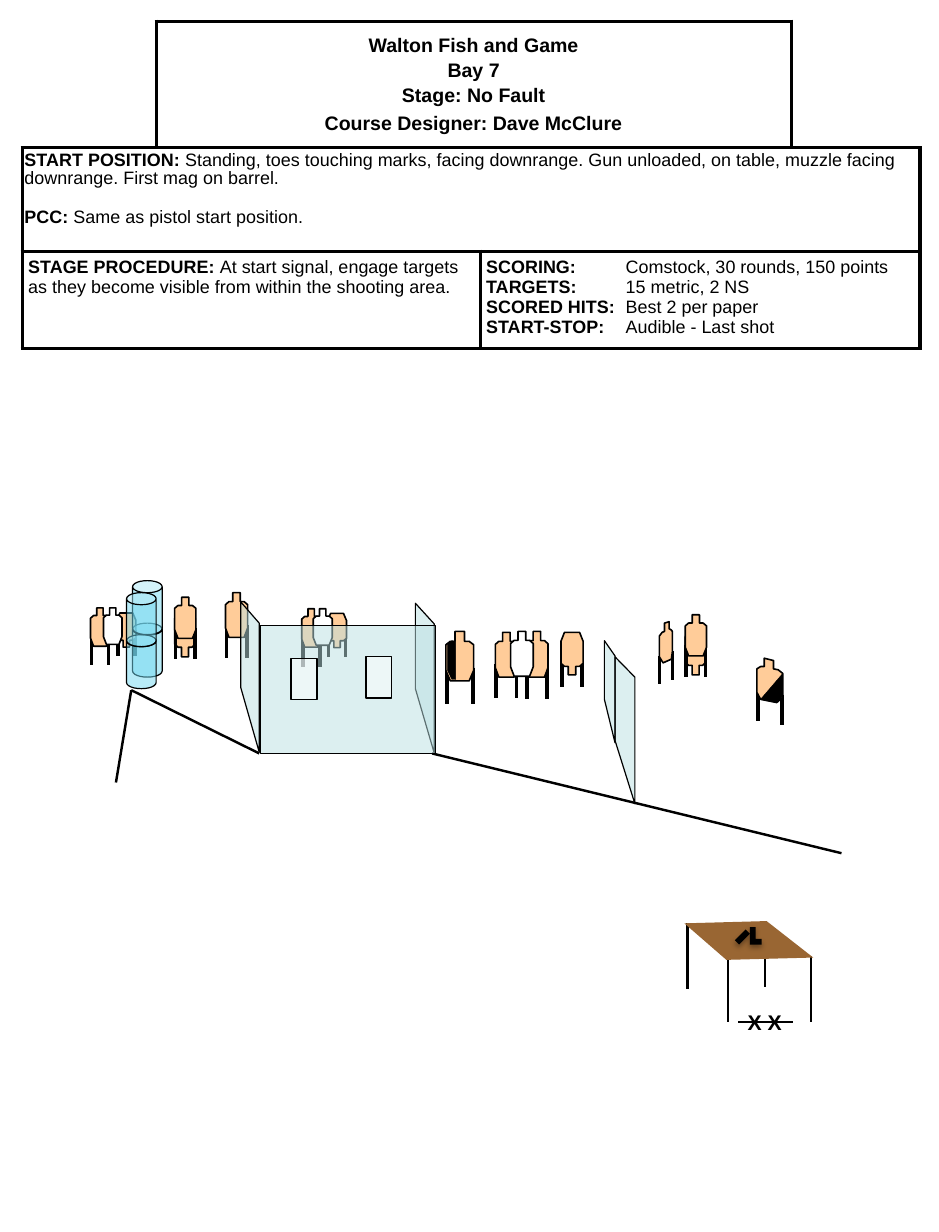
"""Build a one-page shooting stage briefing with a sketch of the bay."""
from lxml import etree
from pptx import Presentation
from pptx.dml.color import RGBColor
from pptx.enum.shapes import MSO_CONNECTOR, MSO_SHAPE
from pptx.enum.text import MSO_ANCHOR, PP_ALIGN
from pptx.oxml.ns import qn
from pptx.util import Cm, Pt

STRAIGHT = MSO_CONNECTOR.STRAIGHT
CAN, CORNER, RECTANGLE = MSO_SHAPE.CAN, MSO_SHAPE.CORNER, MSO_SHAPE.RECTANGLE
CENTER, LEFT = PP_ALIGN.CENTER, PP_ALIGN.LEFT
MIDDLE, TOP = MSO_ANCHOR.MIDDLE, MSO_ANCHOR.TOP
BLACK, WHITE, TAN, BROWN = "000000", "FFFFFF", "FFCC99", "996633"
WALL, BARREL = "BBE0E3", "73D9F1"


def paint(fill, color, opacity=100):
    fill.solid()
    fill.fore_color.rgb = RGBColor.from_string(color)
    if opacity < 100:
        color_element = fill._xPr.find(".//" + qn("a:srgbClr"))
        etree.SubElement(color_element, qn("a:alpha"), val=str(opacity * 1000))


def add_text(paragraph, text, size=11, bold=False, color=BLACK):
    run = paragraph.add_run()
    run.text = text
    run.font.name = "Arial"
    run.font.size = Pt(size)
    run.font.bold = bold
    paint(run.font.fill, color)


presentation = Presentation()
presentation.slide_width = Cm(20.32)
presentation.slide_height = Cm(26.67)
slide = presentation.slides.add_slide(presentation.slide_layouts[6])
shapes = slide.shapes

column_widths = [2.9, 7.01, 6.73, 2.79]
row_heights = [2.74, 2.24, 2.11]
table = shapes.add_table(3, 4, Cm(0.48), Cm(0.46), Cm(sum(column_widths)),
                         Cm(sum(row_heights))).table
table.first_row = table.horz_banding = False
for column, width in zip(table.columns, column_widths):
    column.width = Cm(width)
for row, height in zip(table.rows, row_heights):
    row.height = Cm(height)
for first, last in [((0, 1), (0, 2)), ((1, 0), (1, 3)), ((2, 0), (2, 1)), ((2, 2), (2, 3))]:
    table.cell(*first).merge(table.cell(*last))

corner_sides = {(0, 0): "RB", (0, 3): "LB"}
for row in range(3):
    for column in range(4):
        cell = table.cell(row, column)
        properties = cell._tc.get_or_add_tcPr()
        for side in "LRTB":
            visible = side in corner_sides.get((row, column), "LRTB")
            border = etree.SubElement(properties, qn("a:ln" + side), w=str(Pt(2.25)))
            fill = etree.SubElement(border, qn("a:solidFill" if visible else "a:noFill"))
            if visible:
                etree.SubElement(fill, qn("a:srgbClr"), val=BLACK)
        paint(cell.fill, WHITE)

cells = [
    (0, 1, 12, CENTER, MIDDLE, 0.13, 0.13, None, [
        (0, "Walton Fish and Game", ""),
        (2, "Bay 7", ""),
        (2, "Stage: No Fault", ""),
        (4, "Course Designer: Dave McClure", "")]),
    (1, 0, 11, LEFT, TOP, 0.05, 0.1, 0.9, [
        (0, "START POSITION:", " Standing, toes touching marks, facing downrange. Gun unloaded, "
            "on table, muzzle facing downrange. First mag on barrel."),
        (13, "PCC: ", "Same as pistol start position.")]),
    (2, 0, 11, LEFT, TOP, 0.13, 0.13, None, [
        (0, "STAGE PROCEDURE: ", "At start signal, engage targets as they become visible "
            "from within the shooting area.")]),
    (2, 2, 11, LEFT, TOP, 0.13, 0.13, None, [
        (0, "SCORING:", "\tComstock, 30 rounds, 150 points"),
        (0, "TARGETS:", "\t15 metric, 2 NS"),
        (0, "SCORED HITS:", "\tBest 2 per paper"),
        (0, "START-STOP:", "\tAudible - Last shot")]),
]
for row, column, size, alignment, anchor, side_margin, end_margin, spacing, lines in cells:
    cell = table.cell(row, column)
    cell.vertical_anchor = anchor
    cell.margin_left = cell.margin_right = Cm(side_margin)
    cell.margin_top = cell.margin_bottom = Cm(end_margin)
    for index, (space_before, label, detail) in enumerate(lines):
        frame = cell.text_frame
        paragraph = frame.add_paragraph() if index else frame.paragraphs[0]
        paragraph.alignment = alignment
        paragraph.space_before = Pt(space_before)
        if spacing:
            paragraph.line_spacing = spacing
        if detail.startswith("\t"):
            tabs = etree.SubElement(paragraph._p.get_or_add_pPr(), qn("a:tabLst"))
            etree.SubElement(tabs, qn("a:tab"), pos=str(Cm(3.02)), algn="l")
        add_text(paragraph, label, size=size, bold=True)
        if detail:
            add_text(paragraph, detail, size=size)

scene = [([(x, top), (x, bottom)], None, 100, 1.5) for x, top, bottom in [
    (14.88, 19.99, 21.41), (16.56, 19.94, 21.36), (17.55, 20.7, 22.12), (15.75, 20.73, 22.12)]]
scene.append(([(14.81, 19.99), (16.59, 19.94), (17.6, 20.73), (15.72, 20.78)], BROWN, 100, 0))

silhouette = [(0.33, 0), (0.67, 0), (0.67, 0.2), (0.84, 0.2), (1, 0.27), (1, 0.79),
              (0.84, 1), (0.16, 1), (0, 0.79), (0, 0.27), (0.16, 0.2), (0.33, 0.2)]
targets = [
    (9.65, 13.67, 0.6, 1.07, False, TAN, (14.45, 15.24)),
    (11.38, 13.67, 0.48, 0.99, False, TAN, (14.4, 15.14)),
    (10.72, 13.69, 0.48, 0.97, False, TAN, (14.38, 15.11)),
    (4.88, 12.83, 0.48, 0.97, False, TAN, (13.54, 14.25)),
    (2.53, 13.27, 0.41, 0.74, True, TAN, (13.64, 14.2)),
    (14.83, 13.58, 0.45, 1.03, True, TAN, None),
    (14.83, 13.31, 0.46, 0.89, False, TAN, (13.97, 14.66)),
    (1.96, 13.16, 0.41, 0.83, False, TAN, (13.77, 14.4)),
    (2.24, 13.16, 0.4, 0.79, False, WHITE, None),
    (3.78, 13.18, 0.45, 1.04, True, TAN, None),
    (3.78, 12.93, 0.46, 0.89, False, TAN, (13.59, 14.27)),
    (12.14, 13.69, 0.48, 0.92, True, TAN, (14.17, 14.88)),
    (11.05, 13.67, 0.49, 0.97, False, WHITE, None),
    (7.09, 13.28, 0.41, 0.74, True, TAN, (13.67, 14.22)),
    (6.53, 13.18, 0.41, 0.83, False, TAN, (13.79, 14.43)),
    (6.78, 13.18, 0.41, 0.79, False, WHITE, None),
]
for left, top, width, height, flipped, color, legs in targets:
    if legs:
        for x in (left + 0.02, left + width - 0.02):
            scene.append(([(x, legs[0]), (x, legs[1])], None, 100, 2.25))
    outline = [(left + x * width, top + (1 - y if flipped else y) * height) for x, y in silhouette]
    scene.append((outline, color, 100, 1))

scene += [([(x, top), (x, bottom)], None, 100, 2.25) for x, top, bottom in [
    (14.27, 14.2, 14.81), (14.55, 14.1, 14.71), (16.92, 15.04, 15.7), (16.41, 14.94, 15.6)]]
scene += [
    ([(9.86, 13.89), (9.86, 14.71), (9.78, 14.71), (9.68, 14.5), (9.68, 13.94),
      (9.78, 13.87)], BLACK, 100, 0.25),
    ([(16.74, 14.3), (16.54, 14.25), (16.54, 14.43), (16.46, 14.43), (16.38, 14.48),
      (16.38, 14.99), (16.46, 15.14), (16.81, 15.21), (16.94, 15.09), (16.94, 14.58),
      (16.84, 14.5), (16.74, 14.48)], TAN, 100, 1),
    ([(16.46, 15.14), (16.81, 15.21), (16.94, 15.06), (16.94, 14.58)], BLACK, 100, 0.25),
    ([(14.38, 13.49), (14.48, 13.46), (14.48, 13.61), (14.53, 13.64), (14.55, 13.67),
      (14.55, 14.12), (14.53, 14.27), (14.35, 14.35), (14.27, 14.22), (14.27, 13.77),
      (14.33, 13.69), (14.38, 13.67)], TAN, 100, 1),
    ([(8.99, 14.91), (9.4, 16.31), (9.4, 13.51), (8.99, 13.06)], WALL, 50, 0.75),
    ([(5.21, 14.88), (5.61, 16.28), (5.61, 13.49), (5.21, 13.03)], WALL, 50, 0.75),
    ([(13.31, 16.03), (13.74, 17.4), (13.74, 14.66), (13.31, 14.22)], WALL, 50, 0.75),
    ([(13.08, 15.14), (13.31, 16.08), (13.31, 14.2), (13.08, 13.87)], WALL, 50, 0.75),
    ([(15.98, 22.12), (17.17, 22.12)], None, 100, 1.5),
    ([(2.84, 14.94), (5.61, 16.31)], None, 100, 1.5),
    ([(9.35, 16.31), (18.21, 18.47)], None, 100, 1.5),
    ([(2.84, 14.94), (2.51, 16.94)], None, 100, 1.5),
]
for points, color, opacity, line_width in scene:
    points = [(Cm(x), Cm(y)) for x, y in points]
    if len(points) == 2:
        shape = shapes.add_connector(STRAIGHT, *points[0], *points[1])
    else:
        builder = shapes.build_freeform(*points[0], scale=1.0)
        builder.add_line_segments(points[1:], close=True)
        shape = builder.convert_to_shape()
        paint(shape.fill, color, opacity)
    if line_width:
        paint(shape.line.fill, BLACK)
        shape.line.width = Pt(line_width)
    else:
        shape.line.fill.background()
    etree.SubElement(shape.element.spPr, qn("a:effectLst"))

solids = [
    (CORNER, 16.23, 20.07, 0.25, 0.38, 0, BLACK, 100),
    (RECTANGLE, 16, 20.12, 0.13, 0.33, 45, BLACK, 100),
    *[(CAN, left, top, 0.64, 1.17, 0, BARREL, 50) for left, top in [
        (2.87, 13.49), (2.87, 12.57), (2.74, 13.74), (2.74, 12.83)]],
    (RECTANGLE, 5.64, 13.54, 3.78, 2.77, 0, WALL, 50),
    (RECTANGLE, 6.3, 14.25, 0.56, 0.89, 0, WHITE, 50),
    (RECTANGLE, 7.92, 14.22, 0.56, 0.89, 0, WHITE, 50),
]
for kind, left, top, width, height, rotation, color, opacity in solids:
    shape = shapes.add_shape(kind, Cm(left), Cm(top), Cm(width), Cm(height))
    shape.rotation = rotation
    shape.shadow.inherit = False
    paint(shape.fill, color, opacity)
    if kind == CAN:
        shape.adjustments[0] = 0.41
    if color == BLACK:
        shape.line.fill.background()
        effects = shape.element.spPr.find(qn("a:effectLst"))
        shadow = etree.SubElement(effects, qn("a:outerShdw"), blurRad=str(Pt(3.1)),
                                  dist=str(Pt(1.8)), dir="5400000", rotWithShape="0")
        shade = etree.SubElement(shadow, qn("a:srgbClr"), val=BLACK)
        etree.SubElement(shade, qn("a:alpha"), val="35000")
    else:
        paint(shape.line.fill, BLACK)
        shape.line.width = Pt(0.75)

start_marks = shapes.add_textbox(Cm(15.93), Cm(21.72), Cm(1.47), Cm(0.81))
start_marks.text_frame.word_wrap = True
add_text(start_marks.text_frame.paragraphs[0], "X X", size=13, bold=True)

presentation.save("out.pptx")
